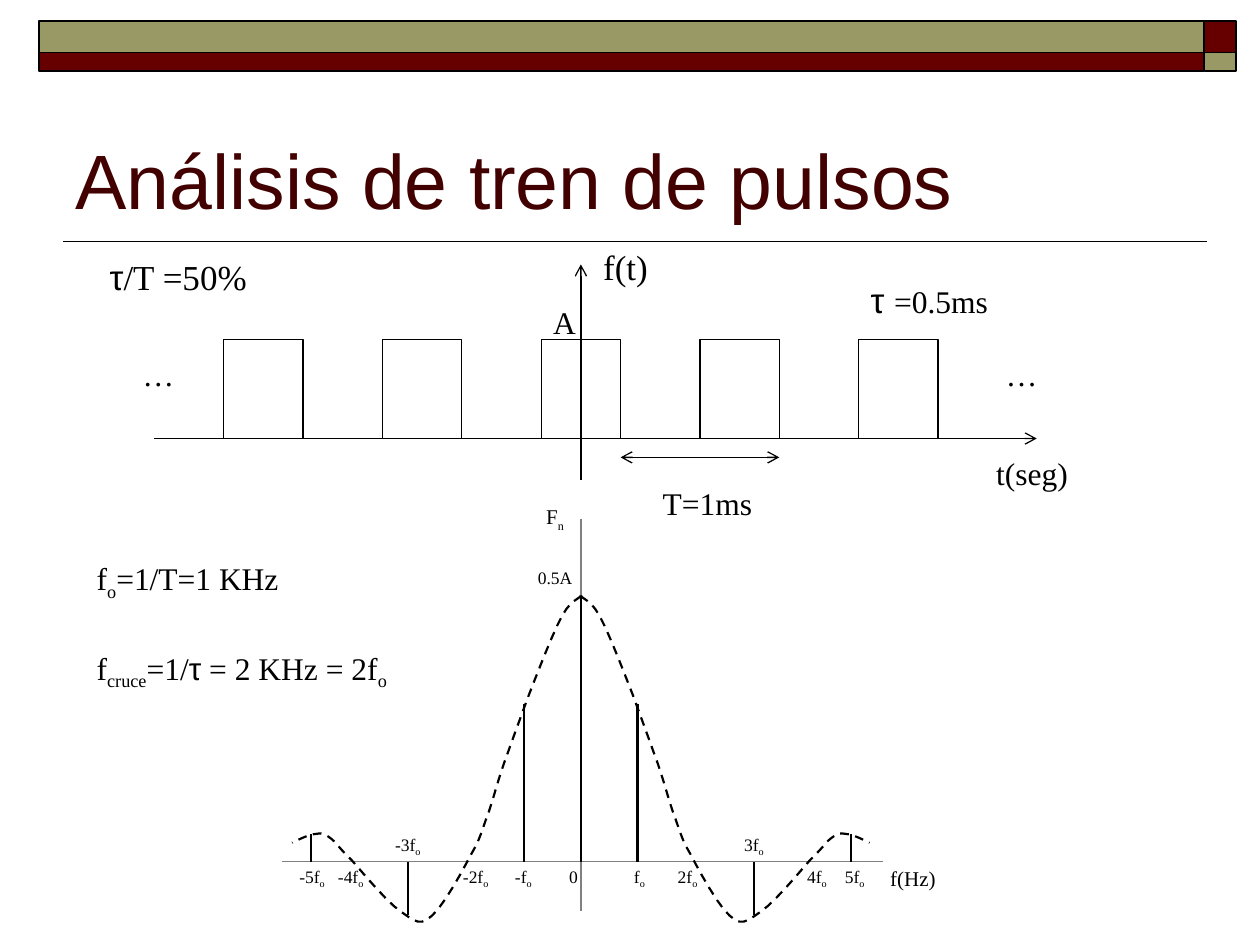
from dataclasses import dataclass

from lxml import etree
from pptx import Presentation
from pptx.dml.color import RGBColor
from pptx.enum.dml import MSO_LINE
from pptx.enum.shapes import MSO_CONNECTOR, MSO_SHAPE
from pptx.enum.text import MSO_ANCHOR, PP_ALIGN
from pptx.oxml.ns import qn
from pptx.util import Cm, Pt

BLACK = RGBColor(0x00, 0x00, 0x00)
WHITE = RGBColor(0xFF, 0xFF, 0xFF)
GRAY = RGBColor(0x80, 0x80, 0x80)
MAROON = RGBColor(0x66, 0x00, 0x00)
OLIVE = RGBColor(0x99, 0x99, 0x66)
TITLE_COLOR = RGBColor(0x42, 0x00, 0x00)
SERIF = "Times New Roman"
SANS = "Arial"
LEFT, CENTER = PP_ALIGN.LEFT, PP_ALIGN.CENTER
BOTTOM = MSO_ANCHOR.BOTTOM
RECTANGLE = MSO_SHAPE.RECTANGLE
STRAIGHT = MSO_CONNECTOR.STRAIGHT
DASH = MSO_LINE.DASH

AXIS_X = 11.71
TIME_Y, PERIOD, PULSE_WIDTH, PULSE_HEIGHT = 8.84, 3.2, 1.6, 2
FREQUENCY_Y = 17.37
# Bezier points of the right half: distance from the axis, height above the baseline
ENVELOPE = [
    (0, 5.36), (0.05, 5.28), (0.2, 5.28), (0.38, 4.95), (0.56, 4.62), (0.84, 3.89),
    (1.04, 3.38), (1.22, 2.9), (1.4, 2.39), (1.55, 1.98), (1.68, 1.6), (1.75, 1.32),
    (1.85, 1.02), (1.98, 0.69), (2.01, 0.48), (2.21, 0.15), (2.39, -0.2), (2.77, -0.89),
    (3, -1.09), (3.23, -1.3), (3.33, -1.22), (3.61, -1.02), (3.89, -0.84), (4.39, -0.23),
    (4.62, 0.03), (4.88, 0.28), (4.93, 0.38), (5.03, 0.46), (5.16, 0.56), (5.21, 0.58),
    (5.33, 0.56), (5.46, 0.56), (5.72, 0.43), (5.82, 0.38),
]
HARMONICS = [(0, 5.36), (1.14, 3.18), (3.49, -1.07), (5.44, 0.56)]
FREQUENCY_LABELS = [
    ("-5f", -5.42), ("-4f", -4.64), ("-3f", -3.49), ("-2f", -2.12), ("-f", -1.16),
    ("f", 1.18), ("2f", 2.15), ("3f", 3.49), ("4f", 4.76), ("5f", 5.52),
]


@dataclass
class Run:
    text: str
    subscript: bool = False
    font: str = SERIF
    size: float = 0


SUB_O = Run("o", subscript=True)


def sample_bezier(points, steps=6):
    """Turn chained cubic segments into a list of points."""
    samples = [points[0]]
    for start in range(0, len(points) - 1, 3):
        segment = points[start:start + 4]
        for step in range(1, steps + 1):
            t = step / steps
            weights = ((1 - t) ** 3, 3 * t * (1 - t) ** 2, 3 * t ** 2 * (1 - t), t ** 3)
            samples.append(tuple(sum(weight * point[axis] for weight, point in zip(weights, segment))
                                 for axis in (0, 1)))
    return samples


class SlideBuilder:
    def __init__(self, presentation):
        self.slide = presentation.slides.add_slide(presentation.slide_layouts[5])
        self.shapes = self.slide.shapes

    def style_run(self, paragraph, run, size, color=BLACK):
        text_run = paragraph.add_run()
        text_run.text = run.text
        text_run.font.name = run.font
        text_run.font.size = Pt(run.size or size)
        text_run.font.color.rgb = color
        if run.subscript:
            text_run.font._element.set("baseline", "-25000")

    def title(self, text, left, top, width, height):
        title = self.shapes.title
        title.left, title.top, title.width, title.height = map(Cm, (left, top, width, height))
        title.text_frame.vertical_anchor = BOTTOM
        paragraph = title.text_frame.paragraphs[0]
        paragraph.alignment = LEFT
        self.style_run(paragraph, Run(text, font=SANS), 44, TITLE_COLOR)

    def text(self, runs, left, top, width, height, size=18, alignment=LEFT, tight=False):
        box = self.shapes.add_textbox(Cm(left), Cm(top), Cm(width), Cm(height))
        frame = box.text_frame
        frame.word_wrap = True
        if tight:
            frame.margin_left = frame.margin_right = frame.margin_top = frame.margin_bottom = 0
        paragraph = frame.paragraphs[0]
        paragraph.alignment = alignment
        for run in runs:
            self.style_run(paragraph, run, size)

    def rectangle(self, left, top, width, height, fill, line_width=0.75):
        shape = self.shapes.add_shape(RECTANGLE, Cm(left), Cm(top), Cm(width), Cm(height))
        shape.shadow.inherit = False
        shape.fill.solid()
        shape.fill.fore_color.rgb = fill
        shape.line.color.rgb = BLACK
        shape.line.width = Pt(line_width)

    def line(self, x1, y1, x2, y2, width=0.75, color=BLACK, arrows=()):
        """Draw a line; arrows names its ends with a head: headEnd, tailEnd."""
        connector = self.shapes.add_connector(STRAIGHT, Cm(x1), Cm(y1), Cm(x2), Cm(y2))
        connector.line.color.rgb = color
        connector.line.width = Pt(width)
        outline = connector.line._get_or_add_ln()
        for end in arrows:
            etree.SubElement(outline, qn(f"a:{end}"), type="arrow")
        etree.SubElement(connector._element.spPr, qn("a:effectLst"))

    def dashed_curve(self, points):
        corners = [(Cm(x), Cm(y)) for x, y in points]
        builder = self.shapes.build_freeform(*corners[0])
        builder.add_line_segments(corners[1:], close=False)
        curve = builder.convert_to_shape()
        curve.shadow.inherit = False
        curve.fill.background()
        curve.line.color.rgb = BLACK
        curve.line.width = Pt(1.25)
        curve.line.dash_style = DASH


def draw_header(builder):
    builder.line(24.33, 4.87, 1.27, 4.87, width=1)
    for top, height, wide_fill, corner_fill in ((0.42, 0.64, OLIVE, MAROON),
                                                (1.06, 0.38, MAROON, OLIVE)):
        builder.rectangle(0.78, top, 23.5, height, wide_fill, line_width=1)
        builder.rectangle(24.28, top, 0.64, height, corner_fill, line_width=1)
    builder.title("Análisis de tren de pulsos", 1.27, 1.48, 22.86, 3.18)


def draw_pulse_train(builder):
    builder.line(3.1, TIME_Y, 20.9, TIME_Y, arrows=["tailEnd"])
    for index in range(-2, 3):
        builder.rectangle(AXIS_X + index * PERIOD - PULSE_WIDTH / 2, TIME_Y - PULSE_HEIGHT,
                          PULSE_WIDTH, PULSE_HEIGHT, WHITE)
    builder.line(AXIS_X, 9.68, AXIS_X, 5.33, arrows=["tailEnd"])
    pulse_end = AXIS_X + PULSE_WIDTH / 2
    builder.line(pulse_end, 9.22, pulse_end + PERIOD, 9.22, arrows=["headEnd", "tailEnd"])

    builder.text([Run("T=1ms")], 13.11, 9.63, 2.59, 1.02)
    builder.text([Run("τ ", font=SANS, size=20), Run("=0.5ms")], 17.3, 5.49, 3.4, 1.12)
    builder.text([Run("A")], 10.9, 5.99, 0.99, 1.02)
    builder.text([Run("f(t)")], 11.71, 4.83, 1.8, 1.12, size=20, alignment=CENTER)
    builder.text([Run("t(seg)")], 19.51, 9.02, 2.59, 1.02, alignment=CENTER)
    for left in (1.9, 19.3):
        builder.text([Run("…")], left, 7.04, 2.59, 1.02, alignment=CENTER)


def draw_spectrum(builder):
    builder.line(AXIS_X, 10.46, AXIS_X, 18.36, color=GRAY)
    builder.line(17.81, FREQUENCY_Y, 5.69, FREQUENCY_Y, color=GRAY)
    samples = sample_bezier(ENVELOPE)
    for side in (-1, 1):
        builder.dashed_curve([(AXIS_X + side * x, FREQUENCY_Y - y) for x, y in samples])
    for distance, height in HARMONICS:
        for x in {AXIS_X - distance, AXIS_X + distance}:
            builder.line(x, FREQUENCY_Y - height, x, FREQUENCY_Y, width=1.25)

    def label(runs, left, top, width, size=10):
        builder.text(runs, left, top, width, 0.64, size, CENTER, tight=True)

    for text, offset in FREQUENCY_LABELS:
        top = 16.81 if "3" in text else 17.45
        label([Run(text), SUB_O], AXIS_X + offset - 0.4, top, 0.8)
    label([Run("0")], 11.33, 17.45, 0.46)
    label([Run("0.5A")], 10.74, 11.43, 0.9)
    label([Run("F"), Run("n", subscript=True)], 10.74, 10.16, 0.9, size=12)
    label([Run("f(Hz)")], 17.73, 17.45, 1.35, size=12)


def draw_formulas(builder):
    builder.text([Run("f"), SUB_O, Run("=1/T=1 KHz")], 1.7, 11.15, 5, 1.12)
    builder.text([Run("f"), Run("cruce", subscript=True), Run("=1/"), Run("τ", font=SANS),
                  Run(" = 2 KHz = 2f"), SUB_O], 1.7, 12.95, 7.39, 1.12)
    builder.text([Run("τ", font=SANS), Run("/T =50%")], 1.5, 5.03, 4.19, 1.12,
                 size=20, alignment=CENTER)


def main():
    presentation = Presentation()
    presentation.slide_width, presentation.slide_height = Cm(25.4), Cm(19.05)
    builder = SlideBuilder(presentation)
    draw_header(builder)
    draw_pulse_train(builder)
    draw_spectrum(builder)
    draw_formulas(builder)
    presentation.save("out.pptx")


if __name__ == "__main__":
    main()
